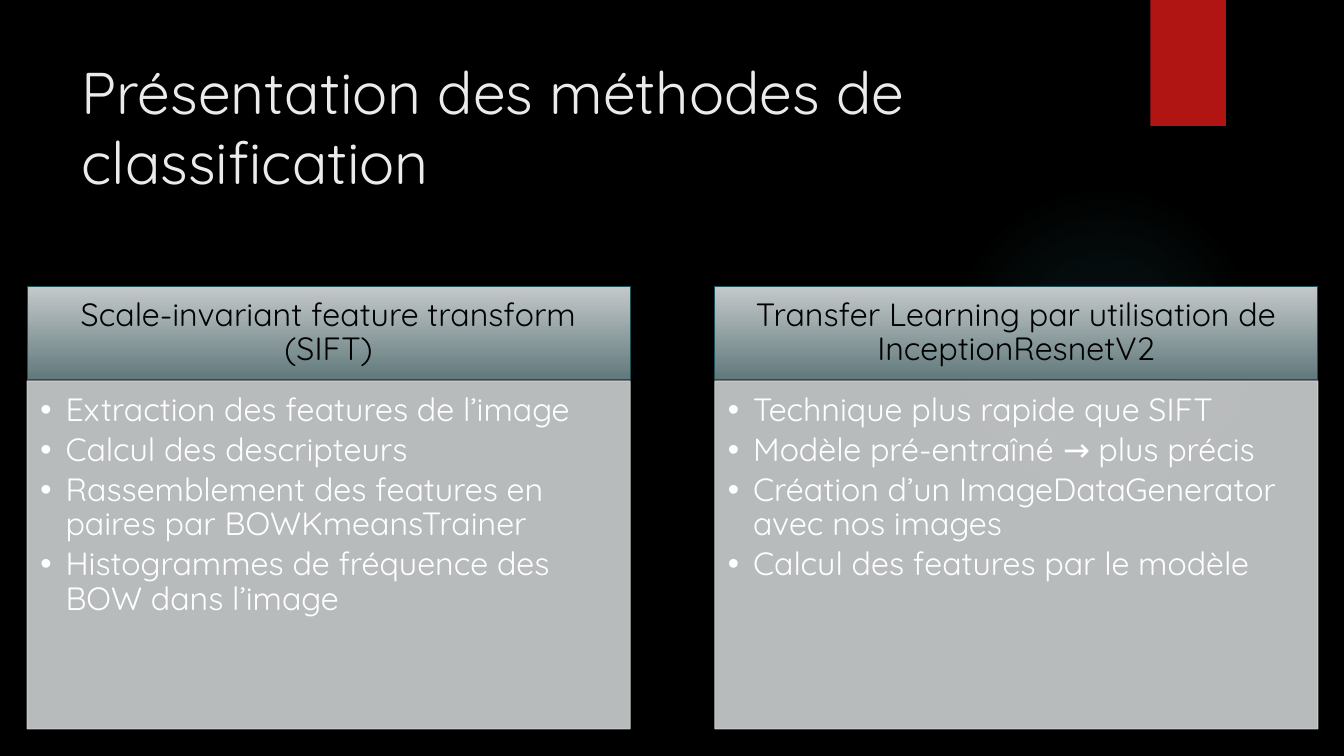
from dataclasses import dataclass

from lxml import etree
from pptx import Presentation
from pptx import util as u
from pptx.dml.color import RGBColor
from pptx.enum import shapes, text
from pptx.oxml import ns, parse_xml

FONT = "Quicksand"
COLUMN_W, HEAD_TOP, HEAD_H, BODY_TOP, BODY_H = 5.98, 2.84, 0.93, 3.78, 3.45


@dataclass
class Method:
    left: float
    name: str
    points: list[str]


METHODS = [
    Method(0.27, "Scale-invariant feature transform (SIFT)", [
        "Extraction des features de l’image",
        "Calcul des descripteurs",
        "Rassemblement des features en paires par BOWKmeansTrainer",
        "Histogrammes de fréquence des BOW dans l’image",
    ]),
    Method(7.09, "Transfer Learning par utilisation de InceptionResnetV2", [
        "Technique plus rapide que SIFT",
        "Modèle pré-entraîné → plus précis",
        "Création d’un ImageDataGenerator avec nos images",
        "Calcul des features par le modèle",
    ]),
]


def rgb(color: str) -> RGBColor:
    return RGBColor.from_string(color)


def add_alpha(fill_xml, percent: int) -> None:
    """Make every colour below a solid fill element translucent."""
    for clr in fill_xml.iter(ns.qn("a:srgbClr")):
        etree.SubElement(clr, ns.qn("a:alpha"), val=str(percent * 1000))


def add_box(slide, kind, left: float, top: float, width: float, height: float,
            fill: str | None = None, line: str | None = None):
    sp = slide.shapes.add_shape(kind, *map(u.Inches, (left, top, width, height)))
    sp.shadow.inherit = False
    if fill:
        sp.fill.solid()
        sp.fill.fore_color.rgb = rgb(fill)
    if line:
        sp.line.color.rgb = rgb(line)
        sp.line.width = u.Pt(0.75)
    else:
        sp.line.fill.background()
    return sp


def write_text(sp, lines: list[str], *, size: float, color: str,
               insets=(0.1, 0.05, 0.1, 0.05), anchor=text.MSO_ANCHOR.TOP,
               align=text.PP_ALIGN.LEFT, spacing: float = 1.0,
               after: float = 0, bullet: bool = False) -> None:
    tf = sp.text_frame
    tf.word_wrap = True
    tf.vertical_anchor = anchor
    tf.margin_left, tf.margin_top, tf.margin_right, tf.margin_bottom = map(u.Inches, insets)
    for i, line in enumerate(lines):
        p = tf.paragraphs[0] if i == 0 else tf.add_paragraph()
        p.alignment, p.line_spacing, p.space_after = align, spacing, u.Pt(after)
        r = p.add_run()
        r.text = line
        r.font.name, r.font.size = FONT, u.Pt(size)
        r.font.color.rgb = rgb(color)
        if bullet:
            pPr = p._p.get_or_add_pPr()
            indent = u.Inches(0.25)
            pPr.set("marL", str(indent))
            pPr.set("indent", str(-indent))
            etree.SubElement(pPr, ns.qn("a:buFont"), typeface="Arial")
            etree.SubElement(pPr, ns.qn("a:buChar"), char="•")


def add_glow(slide) -> None:
    sp = add_box(slide, shapes.MSO_SHAPE.OVAL, 9.41, 1.83, 3.08, 3.08, fill="50B9C1")
    stops = "".join(
        f'<a:gs pos="{pos * 1000}"><a:srgbClr val="50B9C1">'
        f'<a:alpha val="{alpha * 1000}"/></a:srgbClr></a:gs>'
        for pos, alpha in ((0, 7), (36, 6), (69, 0)))
    grad = parse_xml(
        f'<a:gradFill {ns.nsdecls("a")}><a:gsLst>{stops}</a:gsLst><a:path path="circle">'
        '<a:fillToRect l="50000" t="50000" r="50000" b="50000"/></a:path></a:gradFill>')
    spPr = sp._element.spPr
    spPr.replace(spPr.find(ns.qn("a:solidFill")), grad)


def add_method(slide, method: Method) -> None:
    # Header with a vertical gradient
    head = add_box(slide, shapes.MSO_SHAPE.RECTANGLE, method.left, HEAD_TOP,
                   COLUMN_W, HEAD_H, line="1E5155")
    head.fill.gradient()
    head.fill.gradient_angle = 270
    for stop, color in zip(head.fill.gradient_stops, ("C4C9CA", "61797C")):
        stop.color.rgb = rgb(color)
    write_text(head, [method.name], size=23, color="000000",
               insets=(0.18, 0.1, 0.18, 0.1), anchor=text.MSO_ANCHOR.MIDDLE,
               align=text.PP_ALIGN.CENTER, spacing=0.9)

    # Translucent panel with the bullet list
    body = add_box(slide, shapes.MSO_SHAPE.RECTANGLE, method.left, BODY_TOP,
                   COLUMN_W, BODY_H, fill="CDD0D1", line="CDD0D1")
    add_alpha(body._element.spPr, 90)
    write_text(body, method.points, size=23, color="FFFFFF",
               insets=(0.13, 0.13, 0.18, 0.2), spacing=0.9, after=3.5, bullet=True)


def main() -> None:
    prs = Presentation()
    prs.slide_width, prs.slide_height = u.Inches(13.33), u.Inches(7.5)
    s = prs.slides.add_slide(prs.slide_layouts[6])
    s.background.fill.solid()
    s.background.fill.fore_color.rgb = rgb("000000")

    # Decoration
    add_glow(s)
    add_box(s, shapes.MSO_SHAPE.RECTANGLE, 11.41, 0, 0.75, 1.25, fill="B01513")

    # Title
    title = s.shapes.add_textbox(*map(u.Inches, (0.71, 0.5, 10.29, 1.53)))
    write_text(title, ["Présentation des méthodes de classification"],
               size=42, color="EBEBEB")

    # Method columns
    for method in METHODS:
        add_method(s, method)

    prs.save("out.pptx")


if __name__ == "__main__":
    main()
